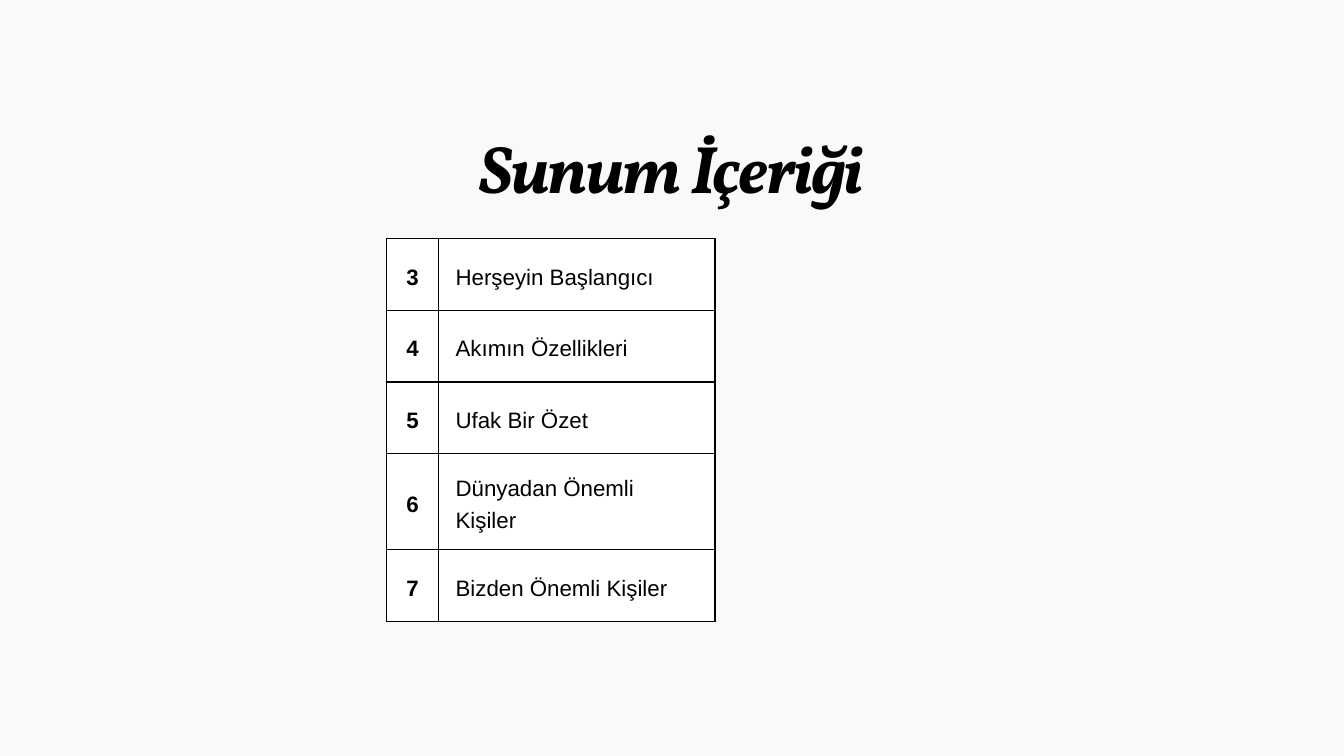
from dataclasses import dataclass

from lxml import etree
from pptx import Presentation
from pptx.dml.color import RGBColor
from pptx.enum.text import MSO_ANCHOR, MSO_AUTO_SIZE, PP_ALIGN
from pptx.oxml.ns import qn
from pptx.util import Pt

CENTER, LEFT = PP_ALIGN.CENTER, PP_ALIGN.LEFT
MIDDLE, TOP = MSO_ANCHOR.MIDDLE, MSO_ANCHOR.TOP
FIT_SHAPE = MSO_AUTO_SIZE.SHAPE_TO_FIT_TEXT
TITLE_ONLY = 5

BLACK, WHITE, PAPER = "000000", "FFFFFF", "F9F9F9"
COLUMN_WIDTHS = (56.16, 295.92)
ROW_HEIGHT = 76.8
CELL_MARGIN = 18
BORDER_WIDTH = 1.5


@dataclass
class Topic:
    page: str
    heading: str


TOPICS = [
    Topic("3", "Herşeyin Başlangıcı"),
    Topic("4", "Akımın Özellikleri"),
    Topic("5", "Ufak Bir Özet"),
    Topic("6", "Dünyadan Önemli Kişiler"),
    Topic("7", "Bizden Önemli Kişiler"),
]


def paint(color_format, hex_color: str) -> None:
    color_format.rgb = RGBColor.from_string(hex_color)


def format_text(frame, font_name: str, size: float, spacing: float, align, bold: bool) -> None:
    paragraph = frame.paragraphs[0]
    paragraph.alignment = align
    paragraph.line_spacing = Pt(spacing)
    font = paragraph.runs[0].font
    font.name = font_name
    font.size = Pt(size)
    font.bold = bold
    paint(font.color, BLACK)


def add_borders(cell) -> None:
    properties = cell._tc.get_or_add_tcPr()
    for side in ("a:lnL", "a:lnR", "a:lnT", "a:lnB"):
        border = etree.SubElement(properties, qn(side), w=str(Pt(BORDER_WIDTH)))
        fill = etree.SubElement(border, qn("a:solidFill"))
        etree.SubElement(fill, qn("a:srgbClr"), val=BLACK)


def fill_cell(cell, text: str, align, bold: bool) -> None:
    cell.text_frame.text = text
    format_text(cell.text_frame, "Arial", 23.9, 33.4, align, bold)
    cell.vertical_anchor = MIDDLE
    cell.margin_left = cell.margin_right = Pt(CELL_MARGIN)
    cell.margin_top = cell.margin_bottom = Pt(CELL_MARGIN)
    add_borders(cell)
    cell.fill.solid()
    paint(cell.fill.fore_color, WHITE)


def add_contents(slide, topics: list[Topic]) -> None:
    frame = slide.shapes.add_table(
        len(topics), len(COLUMN_WIDTHS), Pt(414), Pt(255.6),
        Pt(sum(COLUMN_WIDTHS)), Pt(ROW_HEIGHT * len(topics)))
    contents = frame.table
    contents.first_row = False
    contents.horz_banding = False
    for column, width in zip(contents.columns, COLUMN_WIDTHS):
        column.width = Pt(width)
    for row, topic in zip(contents.rows, topics):
        row.height = Pt(ROW_HEIGHT)
        fill_cell(row.cells[0], topic.page, CENTER, True)
        fill_cell(row.cells[1], topic.heading, LEFT, False)
    frame.width = Pt(612)


def set_title(slide, text: str) -> None:
    title = slide.shapes.title
    title.left, title.top, title.width, title.height = Pt(80.64), Pt(135.36), Pt(1278), Pt(86.4)
    frame = title.text_frame
    frame.text = text
    frame.word_wrap = True
    frame.auto_size = FIT_SHAPE
    frame.vertical_anchor = TOP
    frame.margin_left = frame.margin_right = frame.margin_top = frame.margin_bottom = 0
    format_text(frame, "Vollkorn", 72, 86.4, CENTER, True)
    run = frame.paragraphs[0].runs[0]
    run.font.italic = True
    run._r.get_or_add_rPr().set("spc", "-250")


def main() -> None:
    deck = Presentation()
    deck.slide_width, deck.slide_height = Pt(1440), Pt(810)
    slide = deck.slides.add_slide(deck.slide_layouts[TITLE_ONLY])
    slide.background.fill.solid()
    paint(slide.background.fill.fore_color, PAPER)
    add_contents(slide, TOPICS)
    set_title(slide, "Sunum İçeriği")
    deck.save("out.pptx")


if __name__ == "__main__":
    main()
